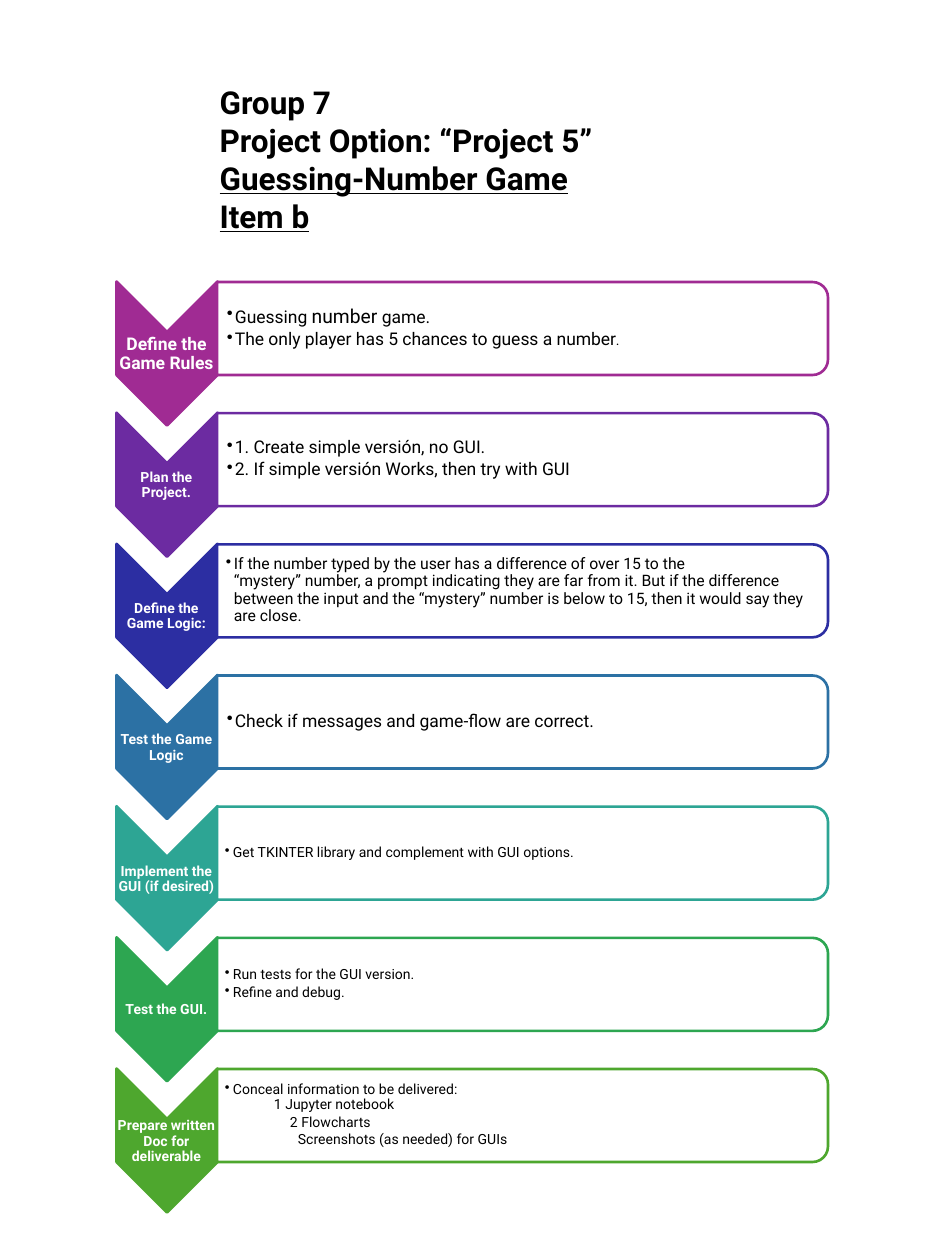
import dataclasses

import lxml.etree
import pptx
import pptx.dml.color
import pptx.enum.shapes
import pptx.enum.text
import pptx.oxml.ns
import pptx.util


@dataclasses.dataclass(frozen=True)
class Theme:
    font: str = "Roboto"
    ink: str = "000000"
    paper: str = "FFFFFF"
    title_size: int = 18
    large: int = 11
    normal: int = 10
    medium: int = 9
    small: int = 8
    steps: tuple = ("A02B93", "6C2BA1", "2C2EA2", "2C71A4", "2DA594", "2DA651", "4EA72E")


theme = Theme()
RGB = pptx.dml.color.RGBColor.from_string
SHAPE = pptx.enum.shapes.MSO_SHAPE
ANCHOR = pptx.enum.text.MSO_ANCHOR
ALIGN = pptx.enum.text.PP_ALIGN
EMU_PER_PX = 914400 / 126
INDENT = 8
TAB = 49
FIRST_TOP, LAST_TOP = 286, 1073


def px(length):
    return pptx.util.Emu(round(length * EMU_PER_PX))


def add_text(paragraph, text, size, color, bold=False):
    """Add one run per line of text, with line breaks between them."""
    for number, line in enumerate(text.split("\n")):
        if number:
            paragraph.add_line_break()
        run = paragraph.add_run()
        run.text = line
        run.font.name = theme.font
        run.font.size = pptx.util.Pt(size)
        run.font.bold = bold
        run.font.color.rgb = RGB(color)
    return run


# Each step: label, label size, list size, and paragraphs of (text, size) runs.
steps = [
    ("Define the Game Rules", theme.normal, theme.normal, [
        [("Guessing ", theme.normal), ("number", theme.large), (" game.", theme.normal)],
        [("The only player has 5 chances to guess a number", theme.normal), (".", theme.small)],
    ]),
    ("Plan the Project.", theme.small, theme.normal, [
        [("1. Create simple versión, no GUI.", theme.normal)],
        [("2. If simple versión Works, then try with GUI", theme.normal)],
    ]),
    ("Define the Game Logic:", theme.small, theme.medium, [
        [("If the number typed by the user has a difference of over 15 to the \n"
          "“mystery” number, a prompt indicating they are far from it. But if the difference "
          "between the input and the “mystery” number is below to 15, then it would say they "
          "are close.", theme.medium)],
    ]),
    ("Test the Game Logic", theme.small, theme.normal, [
        [("Check if messages and game-flow are correct.", theme.normal)],
    ]),
    ("Implement the GUI (if desired)", theme.small, theme.small, [
        [("Get TKINTER library and complement with GUI options.", theme.small)],
    ]),
    ("Test the GUI.", theme.small, theme.small, [
        [("Run tests for the GUI version.", theme.small)],
        [("Refine and debug.", theme.small)],
    ]),
    ("Prepare written Doc for deliverable", theme.small, theme.small, [
        [("Conceal information to be delivered:\n\t1 Jupyter notebook", theme.small)],
        [("\t\t2 Flowcharts", theme.small)],
        [("\t\tScreenshots (as needed) for GUIs", theme.small)],
    ]),
]

presentation = pptx.Presentation()
presentation.slide_width = px(945)
presentation.slide_height = px(1260)
slide = presentation.slides.add_slide(presentation.slide_layouts[5])

# Title
title = slide.shapes.title
title.left, title.top, title.width, title.height = px(207), px(77), px(680), px(165)
title_frame = title.text_frame
title_frame.auto_size = pptx.enum.text.MSO_AUTO_SIZE.NONE
title_frame.vertical_anchor = ANCHOR.TOP
title_lines = [("Group 7", False), ("Project Option: “Project 5”", False),
               ("Guessing-Number Game", True), ("Item b", True)]
for number, (line, underlined) in enumerate(title_lines):
    paragraph = title_frame.add_paragraph() if number else title_frame.paragraphs[0]
    paragraph.alignment = ALIGN.LEFT
    run = add_text(paragraph, line, theme.title_size, theme.ink, bold=True)
    run.font.underline = underlined

# Steps
for row, (label, label_size, list_size, paragraphs) in enumerate(steps):
    top = FIRST_TOP + (LAST_TOP - FIRST_TOP) * row / (len(steps) - 1)
    color = theme.steps[row]

    # Both shapes are turned by 90 degrees about their centres.
    chevron = slide.shapes.add_shape(SHAPE.CHEVRON, px(95), px(top + 17), px(144), px(101))
    card = slide.shapes.add_shape(
        SHAPE.ROUND_2_SAME_RECTANGLE, px(476), px(top - 263), px(93), px(611))
    for shape, fill in ((chevron, color), (card, theme.paper)):
        shape.rotation = 90
        shape.shadow.inherit = False
        shape.fill.solid()
        shape.fill.fore_color.rgb = RGB(fill)
        shape.line.color.rgb = RGB(color)
        shape.line.width = pptx.util.Pt(1.5)

    label_box = slide.shapes.add_textbox(px(116), px(top + 47), px(101), px(43))
    list_box = slide.shapes.add_textbox(px(217), px(top), px(607), px(84))
    for box, left_margin in ((label_box, 1), (list_box, list_size)):
        frame = box.text_frame
        frame.word_wrap = True
        frame.vertical_anchor = ANCHOR.MIDDLE
        frame.margin_left = px(left_margin)
        frame.margin_top = frame.margin_right = frame.margin_bottom = px(1)

    label_paragraph = label_box.text_frame.paragraphs[0]
    label_paragraph.alignment = ALIGN.CENTER
    label_paragraph.line_spacing = 0.9
    add_text(label_paragraph, label, label_size, theme.paper, bold=True)

    frame = list_box.text_frame
    nested = 0
    for number, runs in enumerate(paragraphs):
        paragraph = frame.add_paragraph() if number else frame.paragraphs[0]
        bulleted = not runs[0][0].startswith("\t")
        nested = 0 if bulleted else nested + 1
        paragraph.level = 1 + nested
        paragraph.line_spacing = 0.9
        paragraph.space_after = pptx.util.Pt(list_size * 0.18)
        properties = paragraph._p.get_or_add_pPr()
        properties.set("marL", str(px(INDENT * (1 + nested))))
        properties.set("indent", str(px(-INDENT)))
        properties.set("defTabSz", str(px(TAB)))
        bullet = lxml.etree.SubElement(
            properties, pptx.oxml.ns.qn("a:buChar" if bulleted else "a:buNone"))
        if bulleted:
            bullet.set("char", "•")
        for text, size in runs:
            add_text(paragraph, text, size, theme.ink)

presentation.save("out.pptx")
